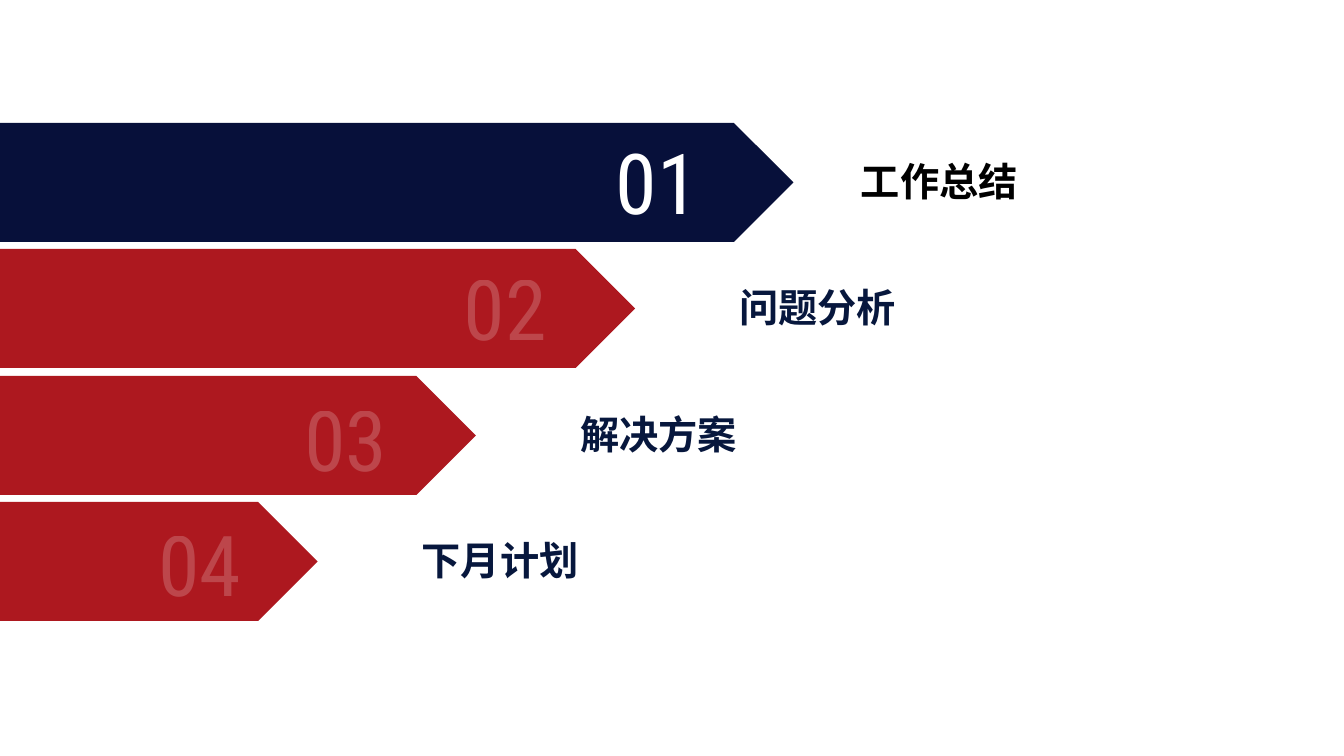
from dataclasses import dataclass

from lxml import etree
from pptx import Presentation
from pptx.dml.color import RGBColor
from pptx.enum.shapes import MSO_SHAPE
from pptx.enum.text import MSO_ANCHOR, PP_ALIGN
from pptx.oxml.ns import qn
from pptx.slide import Slide
from pptx.util import Emu, Length, Pt

PENTAGON = MSO_SHAPE.PENTAGON
MIDDLE = MSO_ANCHOR.MIDDLE
CENTER = PP_ALIGN.CENTER

EMU_PER_PX = 9144  # 100 px to the inch
BLANK_LAYOUT = 6
COLORS = {
    "active": "07103A",
    "idle": "AD181F",
    "active_title": "000000",
    "idle_title": "07173D",
    "number": "FFFFFF",
}

# Bar stack: each step is lower and shorter than the one before
FIRST_TOP, DOUBLE_PITCH = 122, 251
FIRST_WIDTH, DOUBLE_SHRINK = 787, 315
BAR_HEIGHT = 118
TITLE_DROP, TITLE_HEIGHT = 14, 89
NUMBER_WIDTH, NUMBER_HEIGHT = 214, 128


@dataclass(frozen=True)
class AgendaItem:
    title: str
    number_left: int
    number_drop: int = 0
    title_width: int = 362
    active: bool = False


AGENDA = [
    AgendaItem("工作总结", 545, title_width=289, active=True),
    AgendaItem("问题分析", 394),
    AgendaItem("解决方案", 236, number_drop=4),
    AgendaItem("下月计划", 91, number_drop=3),
]


def px(value: int) -> Emu:
    return Emu(value * EMU_PER_PX)


def add_text(slide: Slide, text: str, left: int, top: int, width: int, height: int,
             *, font: str, size: int, color: str, spacing: float | Length,
             bold: bool = False, opacity: int = 100) -> None:
    box = slide.shapes.add_textbox(px(left), px(top), px(width), px(height))
    frame = box.text_frame
    frame.word_wrap = True
    frame.vertical_anchor = MIDDLE
    paragraph = frame.paragraphs[0]
    paragraph.alignment = CENTER
    paragraph.line_spacing = spacing
    run = paragraph.add_run()
    run.text = text
    run.font.name = font
    run.font.size = Pt(size)
    run.font.bold = bold
    run.font.color.rgb = RGBColor.from_string(COLORS[color])
    properties = run.font._element
    # East Asian typeface follows the Latin one
    properties.find(qn("a:latin")).addnext(
        etree.Element(qn("a:ea"), typeface=font))
    if opacity < 100:
        rgb = properties.find(f".//{qn('a:srgbClr')}")
        etree.SubElement(rgb, qn("a:alpha"), val=str(opacity * 1000))


def add_bar(slide: Slide, top: int, width: int, color: str) -> None:
    bar = slide.shapes.add_shape(PENTAGON, 0, px(top), px(width), px(BAR_HEIGHT))
    bar.shadow.inherit = False
    bar.fill.solid()
    bar.fill.fore_color.rgb = RGBColor.from_string(COLORS[color])
    bar.line.fill.background()


def add_agenda_item(slide: Slide, index: int, item: AgendaItem) -> None:
    top = FIRST_TOP + DOUBLE_PITCH * index // 2
    width = FIRST_WIDTH - DOUBLE_SHRINK * index // 2
    state = "active" if item.active else "idle"

    # Arrow bar
    add_bar(slide, top, width, state)
    # Number on the bar
    add_text(slide, f"{index + 1:02d}", item.number_left, top + item.number_drop,
             NUMBER_WIDTH, NUMBER_HEIGHT, font="Roboto Condensed", size=60,
             color="number", spacing=0.9, opacity=100 if item.active else 20)
    # Title beside the tip
    add_text(slide, item.title, width, top + TITLE_DROP, item.title_width,
             TITLE_HEIGHT, font="Arial", size=28, color=f"{state}_title",
             spacing=Pt(32.6), bold=True)


def main() -> None:
    deck = Presentation()
    deck.slide_width, deck.slide_height = px(1333), px(750)
    slide = deck.slides.add_slide(deck.slide_layouts[BLANK_LAYOUT])
    for index, item in enumerate(AGENDA):
        add_agenda_item(slide, index, item)
    deck.save("out.pptx")


if __name__ == "__main__":
    main()
